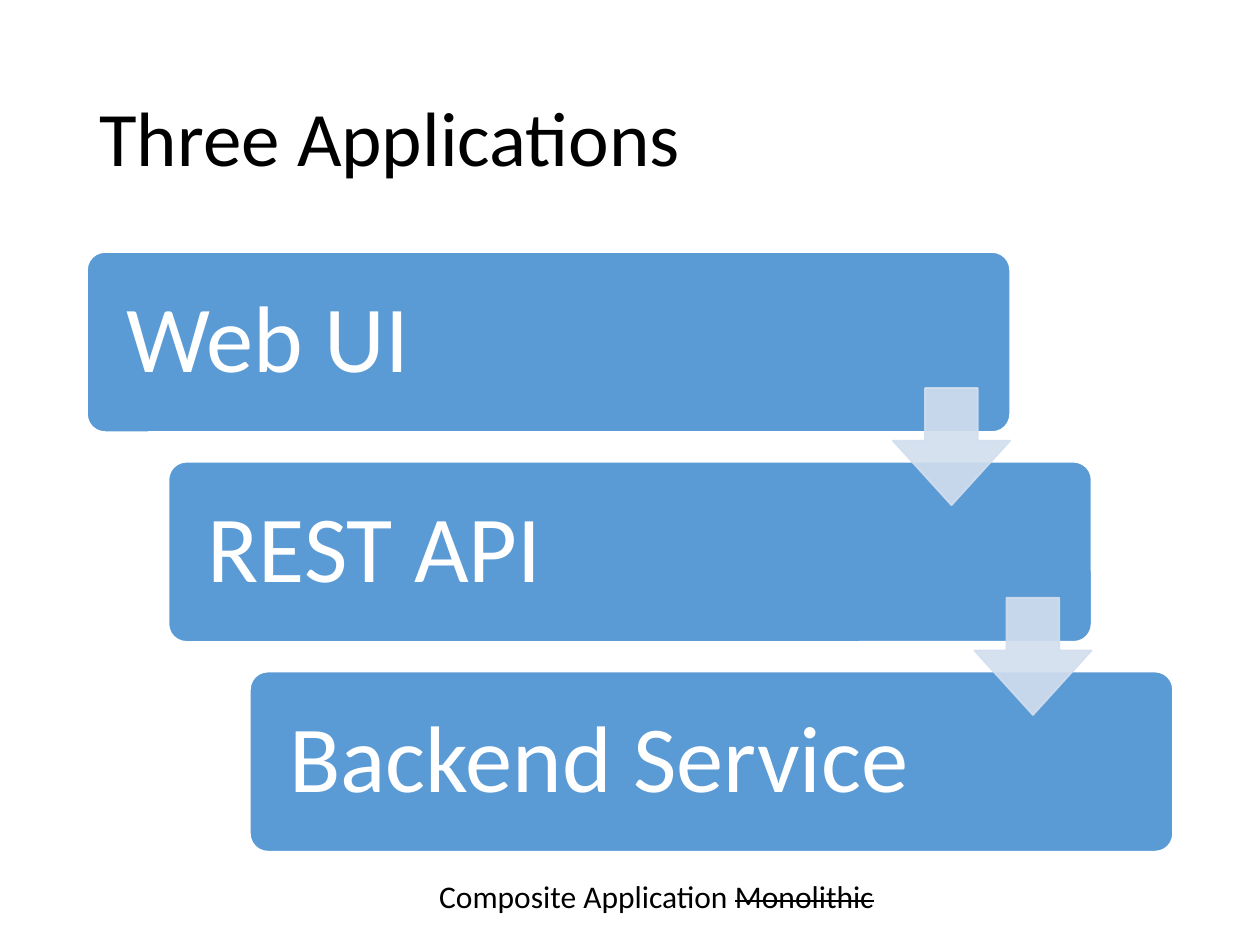
from dataclasses import dataclass

from lxml.etree import SubElement
from pptx import Presentation
from pptx.dml.color import RGBColor as Rgb
from pptx.enum.shapes import MSO_SHAPE as Shape
from pptx.enum.text import MSO_ANCHOR as Anchor, PP_ALIGN as Align
from pptx.oxml.ns import qn
from pptx.util import Inches, Pt


@dataclass(frozen=True)
class Theme:
    """Colours, font and type sizes of the slide."""
    font: str = "Calibri"
    ink: Rgb = Rgb(0, 0, 0)
    paper: Rgb = Rgb(255, 255, 255)
    card: Rgb = Rgb(0x5B, 0x9B, 0xD5)
    arrow: Rgb = Rgb(0xD2, 0xDE, 0xEF)
    title: int = 44
    label: int = 54
    note: int = 18


THEME = Theme()


def style(run, size, color):
    """Set the font, size and colour of a run."""
    run.font.name = THEME.font
    run.font.size = Pt(size)
    run.font.color.rgb = color


def add_text(slide, box):
    """Add a wrapping text box and return its frame."""
    frame = slide.shapes.add_textbox(*map(Inches, box)).text_frame
    frame.word_wrap = True
    return frame


def add_block(slide, kind, box, fill, line, ratios):
    """Add a flat preset shape with its outline and adjustments."""
    block = slide.shapes.add_shape(kind, *map(Inches, box))
    block.shadow.inherit = False
    block.fill.solid()
    block.fill.fore_color.rgb = fill
    block.line.color.rgb = line
    block.line.width = Pt(1)
    for index, ratio in enumerate(ratios):
        block.adjustments[index] = ratio
    return block


def add_title(slide, box, text):
    """Place the slide title."""
    frame = add_text(slide, box)
    frame.vertical_anchor = Anchor.MIDDLE
    frame.text = text
    para = frame.paragraphs[0]
    para.line_spacing = 0.9
    style(para.runs[0], THEME.title, THEME.ink)


def add_card(slide, box, text):
    """Place one labelled step."""
    card = add_block(slide, Shape.ROUNDED_RECTANGLE, box,
                     THEME.card, THEME.paper, [0.1])
    frame = card.text_frame
    frame.word_wrap = True
    frame.vertical_anchor = Anchor.MIDDLE
    frame.margin_left = frame.margin_right = Inches(0.27)
    frame.text = text
    para = frame.paragraphs[0]
    para.alignment = Align.LEFT
    para.line_spacing = 0.9
    style(para.runs[0], THEME.label, THEME.paper)


def add_arrow(slide, box):
    """Place one translucent arrow between two steps."""
    arrow = add_block(slide, Shape.DOWN_ARROW, box,
                      THEME.arrow, THEME.arrow, [0.45, 0.55])
    for color in arrow._element.spPr.iter(qn("a:srgbClr")):
        SubElement(color, qn("a:alpha"), val="90000")


def add_stairs(slide, box, labels):
    """Place the steps as a staircase that fills the box."""
    left, top, width, height = box
    wide, tall, side = 0.85 * width, 1.43, 0.93
    gaps = len(labels) - 1
    shift, drop = (width - wide) / gaps, (height - tall) / gaps
    spots = [(left + i * shift, top + i * drop) for i in range(len(labels))]
    for (x, y), label in zip(spots, labels):
        add_card(slide, (x, y, wide, tall), label)
    for x, y in spots[:-1]:
        add_arrow(slide, (x + wide - side, y + 1.08, side, side))


def add_note(slide, box, text, struck):
    """Place the closing line, whose last word is struck out."""
    para = add_text(slide, box).paragraphs[0]
    para.alignment = Align.CENTER
    for part in (text, struck):
        run = para.add_run()
        run.text = part
        style(run, THEME.note, THEME.ink)
    run._r.get_or_add_rPr().set("strike", "sngStrike")


def main():
    """Build the slide and save it."""
    deck = Presentation()
    deck.slide_width, deck.slide_height = Inches(10), Inches(7.5)
    slide = deck.slides.add_slide(deck.slide_layouts[6])
    add_title(slide, (0.69, 0.4, 8.62, 1.45), "Three Applications")
    add_stairs(slide, (0.69, 2, 8.62, 4.76),
               ["Web UI", "REST API", "Backend Service"])
    add_note(slide, (1.67, 6.91, 7.08, 0.4),
             "Composite Application ", "Monolithic")
    deck.save("out.pptx")


if __name__ == "__main__":
    main()
